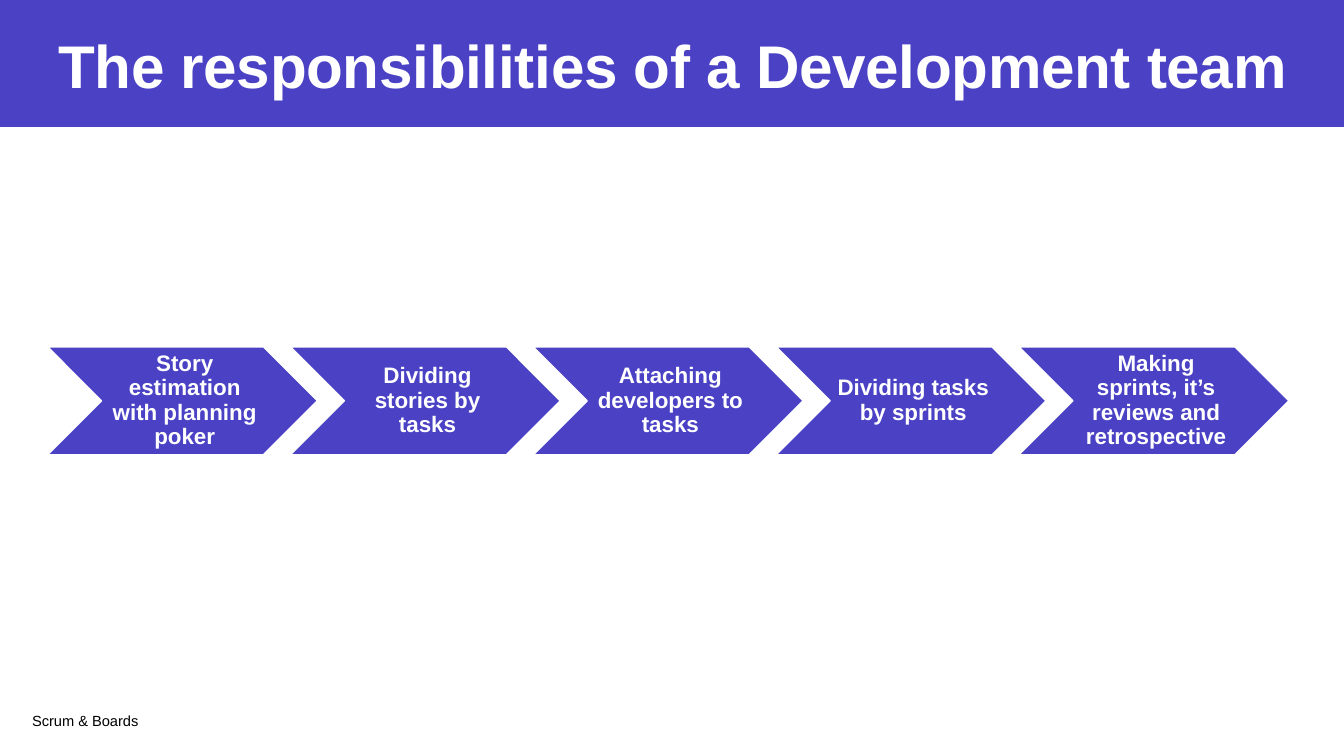
import pptx
import pptx.dml.color
import pptx.enum.shapes
import pptx.enum.text
import pptx.util

Cm = pptx.util.Cm
Pt = pptx.util.Pt
SHAPE = pptx.enum.shapes.MSO_SHAPE
ALIGN = pptx.enum.text.PP_ALIGN

INDIGO = pptx.dml.color.RGBColor(0x4A, 0x41, 0xC5)
WHITE = pptx.dml.color.RGBColor(0xFF, 0xFF, 0xFF)
BLACK = pptx.dml.color.RGBColor(0x00, 0x00, 0x00)

STEPS = [
    "Story estimation with planning poker",
    "Dividing stories by tasks",
    "Attaching developers to tasks",
    "Dividing tasks by sprints",
    "Making sprints, it’s reviews and retrospective",
]

deck = pptx.Presentation()
deck.slide_width = Cm(33.87)
deck.slide_height = Cm(19.05)
page = deck.slides.add_slide(deck.slide_layouts[6])


def add_text(text, left, top, width, height, size, color=WHITE, bold=True,
             align=ALIGN.CENTER, line_spacing=None, margins=None, tracking=None):
    """Add a wrapped, vertically centred text box; margins run left, top, right, bottom in cm."""
    box = page.shapes.add_textbox(Cm(left), Cm(top), Cm(width), Cm(height))
    frame = box.text_frame
    frame.word_wrap = True
    frame.vertical_anchor = pptx.enum.text.MSO_ANCHOR.MIDDLE
    if margins:
        (frame.margin_left, frame.margin_top,
         frame.margin_right, frame.margin_bottom) = map(Cm, margins)
    para = frame.paragraphs[0]
    para.alignment = align
    para.line_spacing = line_spacing
    span = para.add_run()
    span.text = text
    span.font.name = "Arial"
    span.font.size = Pt(size)
    span.font.bold = bold
    span.font.color.rgb = color
    if tracking:
        span.font._element.set("spc", str(round(tracking * 100)))


def add_filled(kind, left, top, width, height):
    shape = page.shapes.add_shape(kind, Cm(left), Cm(top), Cm(width), Cm(height))
    shape.shadow.inherit = False
    shape.fill.solid()
    shape.fill.fore_color.rgb = INDIGO
    return shape


# Header and footer
band = add_filled(SHAPE.RECTANGLE, 0, 0, 33.87, 3.2)
band.line.fill.background()
add_text("The responsibilities of a Development team", 0.56, 0.51, 32.77, 2.24,
         size=43, tracking=-0.2)
add_text("Scrum & Boards", 0.56, 17.65, 13.44, 1.02,
         size=10.5, color=BLACK, bold=False, align=ALIGN.LEFT)

# Chain of steps
FIRST_LEFT, PITCH = 1.2, 6.12
TOP, WIDTH, HEIGHT = 8.74, 6.8, 2.72
for index, step in enumerate(STEPS):
    left = FIRST_LEFT + index * PITCH
    chevron = add_filled(SHAPE.CHEVRON, left, TOP, WIDTH, HEIGHT)
    chevron.line.color.rgb = WHITE
    chevron.line.width = Pt(1)
    add_text(step, left + HEIGHT / 2, TOP, WIDTH - HEIGHT, HEIGHT, size=16,
             line_spacing=0.9, margins=(0.17, 0.06, 0.06, 0.06))

deck.save("out.pptx")
